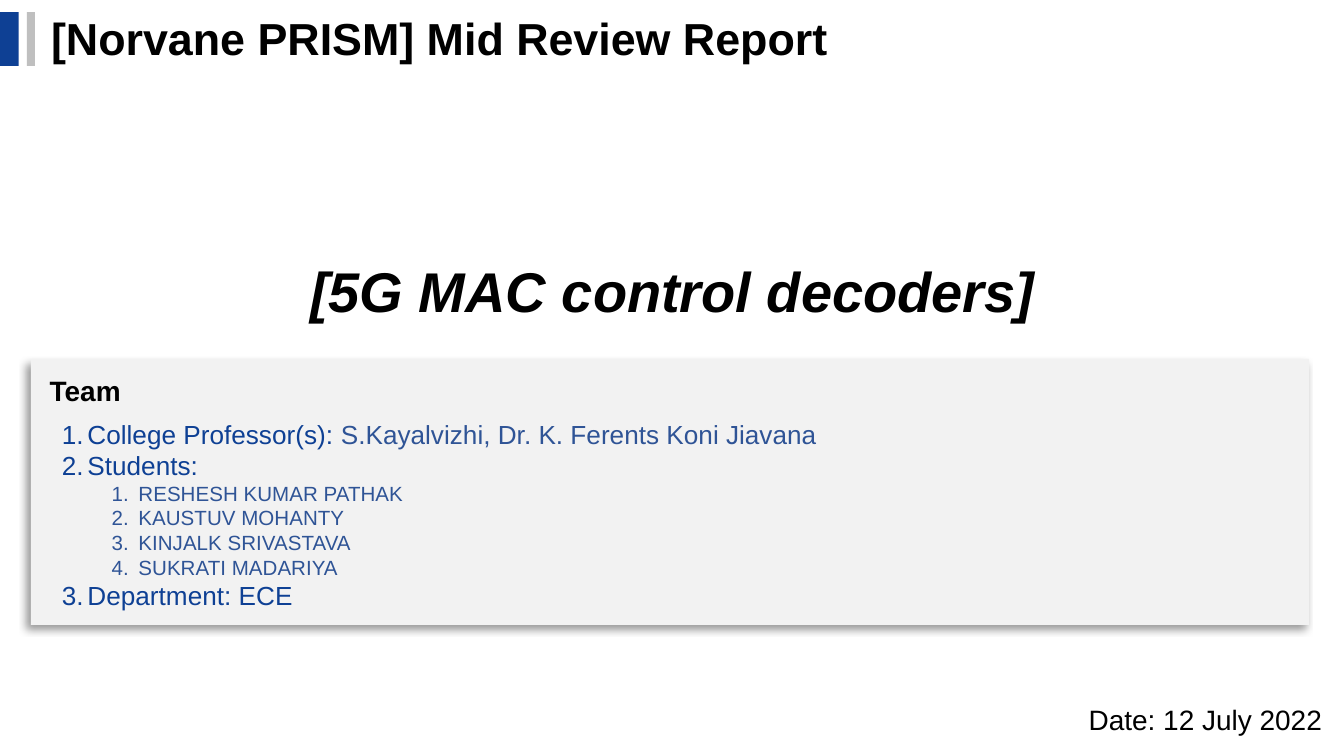
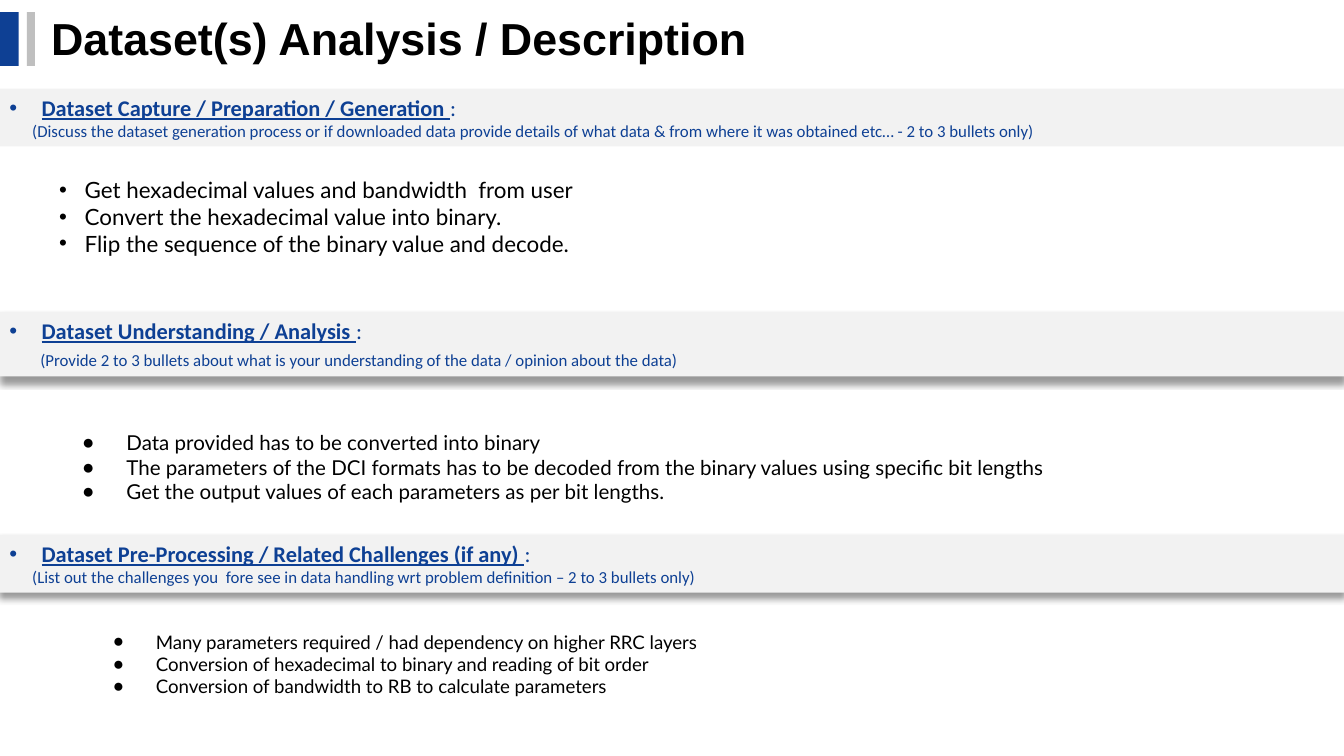
from dataclasses import dataclass

from lxml.etree import SubElement
from pptx import Presentation
from pptx.dml.color import RGBColor
from pptx.enum.shapes import MSO_SHAPE
from pptx.enum.text import MSO_ANCHOR, MSO_AUTO_SIZE, PP_ALIGN
from pptx.oxml.ns import qn
from pptx.util import Inches, Pt


@dataclass(frozen=True)
class Theme:
    blue: str = "0E4094"
    soft_blue: str = "2F5496"
    black: str = "000000"
    gray: str = "BFBFBF"
    panel: str = "F2F2F2"
    head_font: str = "Arial"
    band_font: str = "Calibri"
    list_font: str = "Lato"
    project: int = 30
    title: int = 24
    label: int = 15
    team: int = 14
    band: int = 12
    student: int = 11
    hint: int = 9


T = Theme()
INSET = (0.07, 0.04)
LIST_INSET = (0.1, 0.1)

TITLES = ["[Norvane PRISM] Mid Review Report", "Dataset(s) Analysis / Description"]
PROJECT = "[5G MAC control decoders]"
DATE = "Date: 12 July 2022"
TEAM = [
    (0, "College Professor(s): ", "S.Kayalvizhi, Dr. K. Ferents Koni Jiavana"),
    (0, "Students:", ""),
    (1, "", "RESHESH KUMAR PATHAK"),
    (1, "", "KAUSTUV MOHANTY"),
    (1, "", "KINJALK SRIVASTAVA"),
    (1, "", "SUKRATI MADARIYA"),
    (0, "Department: ECE", ""),
]
SECTIONS = [
    dict(
        heading="Dataset Capture / Preparation / Generation ",
        hint="(Discuss the dataset generation process or if downloaded data provide details of "
             "what data & from where it was obtained etc… - 2 to 3 bullets only)",
        height=0.43, shadow=None, hint_indent=0.17, hint_gap=0,
        items=["Get hexadecimal values and bandwidth  from user",
               "Convert the hexadecimal value into binary.",
               "Flip the sequence of the binary value and decode."],
        box=(0.34, 1.21, 7.48, 0.96), size=12, bullet="•", indent=(0.19, -0.19),
    ),
    dict(
        heading="Dataset Understanding / Analysis ",
        hint="(Provide 2 to 3 bullets about what is your understanding of the data / "
             "opinion about the data)",
        height=0.48, shadow=90, hint_indent=0.23, hint_gap=3,
        items=["Data provided has to be converted into binary",
               "The parameters of the DCI formats has to be decoded from the binary values "
               "using specific bit lengths",
               "Get the output values of each parameters as per bit lengths."],
        box=(0.34, 3.1, 8.64, 0.94), size=11, bullet="●", indent=(0.5, -0.33),
    ),
    dict(
        heading="Dataset Pre-Processing / Related Challenges (if any) ",
        hint="(List out the challenges you  fore see in data handling wrt problem definition "
             "– 2 to 3 bullets only)",
        height=0.43, shadow=90, hint_indent=0.17, hint_gap=0,
        items=["Many parameters required / had dependency on higher RRC layers",
               "Conversion of hexadecimal to binary and reading of bit order",
               "Conversion of bandwidth to RB to calculate parameters"],
        box=(0.56, 4.59, 8.66, 0.88), size=10, bullet="●", indent=(0.5, -0.32),
    ),
]
BAND_TOP, BAND_STEP = 0.66, 1.66


def add_run(p, text, size, font=T.head_font, color=T.black,
            bold=False, italic=False, underline=False):
    r = p.add_run()
    r.text = text
    f = r.font
    f.name, f.size, f.bold, f.italic, f.underline = font, Pt(size), bold, italic, underline
    f.color.rgb = RGBColor.from_string(color)


def add_para(tf, text="", align=PP_ALIGN.LEFT, level=0, indent=(0, 0), bullet=None,
             number=False, bullet_color=T.black, before=0, **fmt):
    p = tf.add_paragraph() if tf.text else tf.paragraphs[0]
    p.alignment, p.level = align, level
    p.space_before, p.space_after, p.line_spacing = Pt(before), Pt(0), 1.0
    pPr = p._p.get_or_add_pPr()
    pPr.set("marL", str(Inches(indent[0])))
    pPr.set("indent", str(Inches(indent[1])))
    if bullet or number:
        SubElement(SubElement(pPr, qn("a:buClr")), qn("a:srgbClr")).set("val", bullet_color)
        SubElement(pPr, qn("a:buFont")).set("typeface", T.head_font)
        if number:
            SubElement(pPr, qn("a:buAutoNum")).set("type", "arabicPeriod")
        else:
            SubElement(pPr, qn("a:buChar")).set("char", bullet)
    else:
        SubElement(pPr, qn("a:buNone"))
    if text:
        add_run(p, text, **fmt)
    return p


def frame(sp, anchor=MSO_ANCHOR.TOP, inset=INSET):
    tf = sp.text_frame
    tf.word_wrap, tf.auto_size, tf.vertical_anchor = True, MSO_AUTO_SIZE.NONE, anchor
    tf.margin_left = tf.margin_right = Inches(inset[0])
    tf.margin_top = tf.margin_bottom = Inches(inset[1])
    return tf


def add_box(s, box, **kw):
    return frame(s.shapes.add_textbox(*map(Inches, box)), **kw)


def use_placeholder(s, idx, box, **kw):
    sp = next(ph for ph in s.placeholders if ph.placeholder_format.idx == idx)
    sp.left, sp.top, sp.width, sp.height = map(Inches, box)
    s.shapes.element.append(sp.element)
    return frame(sp, **kw)


def add_rect(s, box, color, shadow=None):
    sp = s.shapes.add_shape(MSO_SHAPE.RECTANGLE, *map(Inches, box))
    sp.fill.solid()
    sp.fill.fore_color.rgb = RGBColor.from_string(color)
    sp.line.fill.background()
    sp.shadow.inherit = False
    if shadow is not None:
        effects = sp.element.spPr.find(qn("a:effectLst"))
        outer = SubElement(effects, qn("a:outerShdw"), blurRad=str(Pt(4)), dist=str(Pt(3)),
                           dir=str(shadow * 60000), algn="ctr", rotWithShape="0")
        clr = SubElement(outer, qn("a:srgbClr"), val=T.black)
        SubElement(clr, qn("a:alpha"), val="40000")
    return sp


def add_slide(prs, layout, title):
    s = prs.slides.add_slide(prs.slide_layouts[layout])
    add_rect(s, (0, 0.09, 0.14, 0.4), T.blue)
    add_rect(s, (0.2, 0.09, 0.06, 0.4), T.gray)
    tf = use_placeholder(s, 0, (0.31, 0.04, 7.71, 0.48), anchor=MSO_ANCHOR.MIDDLE)
    add_para(tf, title, size=T.title, bold=True)
    return s


def build_cover(prs):
    s = add_slide(prs, 1, TITLES[0])
    add_rect(s, (0.23, 2.67, 9.51, 1.98), T.panel, shadow=135)
    add_para(add_box(s, (0.3, 2.74, 1.03, 0.33)), "Team", size=T.label, bold=True)
    tf = use_placeholder(s, 1, (0.39, 3.07, 8.93, 1.51))
    for level, role, names in TEAM:
        size, color, indent = [(T.team, T.blue, (0.19, -0.19)),
                               (T.student, T.soft_blue, (0.57, -0.2))][level]
        p = add_para(tf, role, level=level, indent=indent, number=True, bullet_color=color,
                     size=size, color=T.blue)
        if names:
            add_run(p, names, size, color=T.soft_blue)
    tf = add_box(s, (8.03, 5.19, 1.89, 0.33), anchor=MSO_ANCHOR.MIDDLE)
    add_para(tf, DATE, size=T.label)
    tf = add_box(s, (1.15, 1.87, 7.71, 0.58), anchor=MSO_ANCHOR.MIDDLE)
    add_para(tf, PROJECT, align=PP_ALIGN.CENTER, size=T.project, bold=True, italic=True)


def build_dataset(prs):
    s = add_slide(prs, 4, TITLES[1])
    fmt = dict(font=T.band_font, color=T.blue)
    for i, sec in enumerate(SECTIONS):
        band = add_rect(s, (0, BAND_TOP + i * BAND_STEP, 10, sec["height"]),
                        T.panel, shadow=sec["shadow"])
        tf = frame(band)
        p = add_para(tf, sec["heading"], align=PP_ALIGN.JUSTIFY, indent=(0.24, -0.24),
                     bullet="•", bullet_color=T.blue, size=T.band, bold=True,
                     underline=True, **fmt)
        add_run(p, ": ", T.band, **fmt)
        add_para(tf, sec["hint"], align=PP_ALIGN.JUSTIFY, indent=(sec["hint_indent"], 0),
                 before=sec["hint_gap"], size=T.hint, **fmt)
        tf = use_placeholder(s, i + 1, sec["box"], inset=LIST_INSET)
        for item in sec["items"]:
            add_para(tf, item, indent=sec["indent"], bullet=sec["bullet"],
                     size=sec["size"], font=T.list_font)
    for ph in list(s.placeholders):
        if not ph.text_frame.text:
            s.shapes.element.remove(ph.element)


def main():
    prs = Presentation()
    prs.slide_width = Inches(10)
    prs.slide_height = prs.slide_width * 9 // 16
    build_cover(prs)
    build_dataset(prs)
    prs.save("out.pptx")


if __name__ == "__main__":
    main()
